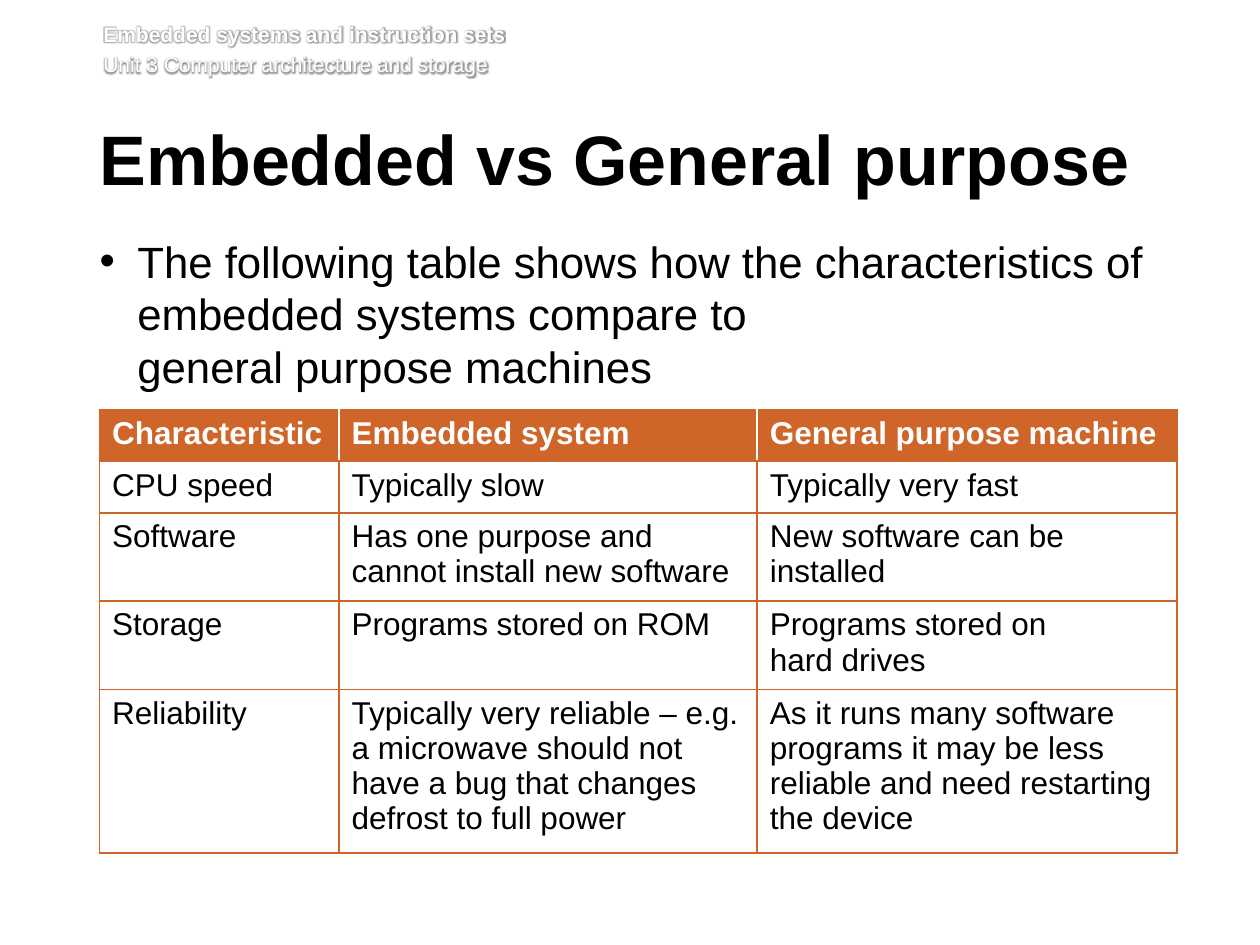
from lxml import etree
from pptx import Presentation, util as u
from pptx.dml.color import RGBColor
from pptx.enum import text
from pptx.oxml import ns

COLORS = {"ink": "000000", "paper": "FFFFFF", "accent": "CF6529"}
FONT = "Arial"
WIDTH, HEIGHT = 10, 7.5
LEFT, CONTENT_W = 0.79, 8.55

HEADER = ["Embedded systems and instruction sets",
          "Unit 3 Computer architecture and storage"]
TITLE = "Embedded vs General purpose"
INTRO = ("The following table shows how the characteristics of "
         "embedded systems compare to \ngeneral purpose machines")
TABLE = [
    ("Characteristic", "Embedded system", "General purpose machine"),
    ("CPU speed", "Typically slow", "Typically very fast"),
    ("Software", "Has one purpose and cannot install new software",
     "New software can be installed"),
    ("Storage", "Programs stored on ROM", "Programs stored on \nhard drives"),
    ("Reliability",
     "Typically very reliable – e.g. a microwave should not have a bug "
     "that changes defrost to full power",
     "As it runs many software programs it may be less reliable and need "
     "restarting the device"),
]
COLUMN_WIDTHS = [1.9, 3.32, 3.33]
ROW_HEIGHT = 0.41


def sub(parent, tag, **attrs):
    return etree.SubElement(parent, ns.qn(tag), attrs)


def write(p, content, size, color="ink", bold=False, **spacing):
    p.text = content
    for name, value in spacing.items():
        setattr(p, name, u.Pt(value))
    for r in p.runs:
        for name, value in dict(name=FONT, size=u.Pt(size), bold=bold).items():
            setattr(r.font, name, value)
        r.font.color.rgb = RGBColor.from_string(COLORS[color])


def add_box(s, box, insets):
    tf = s.shapes.add_textbox(*map(u.Inches, box)).text_frame
    tf.word_wrap = True
    tf.vertical_anchor = text.MSO_ANCHOR.TOP
    for side, inset in zip(("left", "top", "right", "bottom"), insets):
        setattr(tf, f"margin_{side}", u.Inches(inset))
    return tf


def add_glow(r):
    """Put a soft grey halo round the letters of a run."""
    effects = etree.Element(ns.qn("a:effectLst"))
    glow = sub(effects, "a:glow", rad=str(u.Pt(3)))
    color = sub(glow, "a:srgbClr", val=COLORS["ink"])
    sub(color, "a:alpha", val="40000")
    r.font.fill._xPr.find(ns.qn("a:solidFill")).addnext(effects)


def add_bullet(p, indent):
    pPr = p._p.get_or_add_pPr()
    pPr.set("marL", str(u.Inches(indent)))
    pPr.set("indent", str(-u.Inches(indent)))
    sub(pPr, "a:buFont", typeface=FONT)
    sub(pPr, "a:buChar", char="•")


def set_borders(cell, sides):
    """Draw one-point borders; they must precede the cell's fill."""
    tcPr = cell._tc.get_or_add_tcPr()
    for i, (side, color) in enumerate(sides.items()):
        line = etree.Element(ns.qn(f"a:ln{side}"), w=str(u.Pt(1)))
        sub(sub(line, "a:solidFill"), "a:srgbClr", val=COLORS[color])
        tcPr.insert(i, line)


def add_comparison(s, top):
    rows, cols = len(TABLE), len(COLUMN_WIDTHS)
    table = s.shapes.add_table(
        rows, cols, u.Inches(LEFT), u.Inches(top),
        u.Inches(CONTENT_W), u.Inches(ROW_HEIGHT * rows)).table
    table.horz_banding = False
    for column, width in zip(table.columns, COLUMN_WIDTHS):
        column.width = u.Inches(width)
    for i, row in enumerate(TABLE):
        head = i == 0
        for j, content in enumerate(row):
            cell = table.cell(i, j)
            write(cell.text_frame.paragraphs[0], content, 18,
                  "paper" if head else "ink", head)
            if head:
                cell.fill.solid()
                cell.fill.fore_color.rgb = RGBColor.from_string(COLORS["accent"])
            else:
                cell.fill.background()
            sides = dict.fromkeys("LRTB", "accent")
            if head and j > 0:
                sides["L"] = "paper"
            if head and j < cols - 1:
                sides["R"] = "paper"
            set_borders(cell, sides)


def main():
    prs = Presentation()
    prs.slide_width, prs.slide_height = u.Inches(WIDTH), u.Inches(HEIGHT)
    s = prs.slides.add_slide(prs.slide_layouts[6])

    tf = add_box(s, (0.82, 0.17, 8.82, 0.49), (0, 0, 0, 0.05))
    for i, content in enumerate(HEADER):
        p = tf.add_paragraph() if i else tf.paragraphs[0]
        write(p, content, 12, "paper", i == 0, space_before=2.9 if i else 0)
        add_glow(p.runs[0])

    tf = add_box(s, (LEFT, 0.99, CONTENT_W, 0.73), (0, 0.05, 0.1, 0.05))
    write(tf.paragraphs[0], TITLE, 40, bold=True, line_spacing=39, space_after=15)

    tf = add_box(s, (LEFT, 1.86, CONTENT_W, 3.78), (0, 0, 0.1, 0.05))
    p = tf.paragraphs[0]
    write(p, INTRO, 25, line_spacing=30, space_after=14)
    add_bullet(p, 0.3)

    add_comparison(s, 3.25)
    prs.save("out.pptx")


if __name__ == "__main__":
    main()
